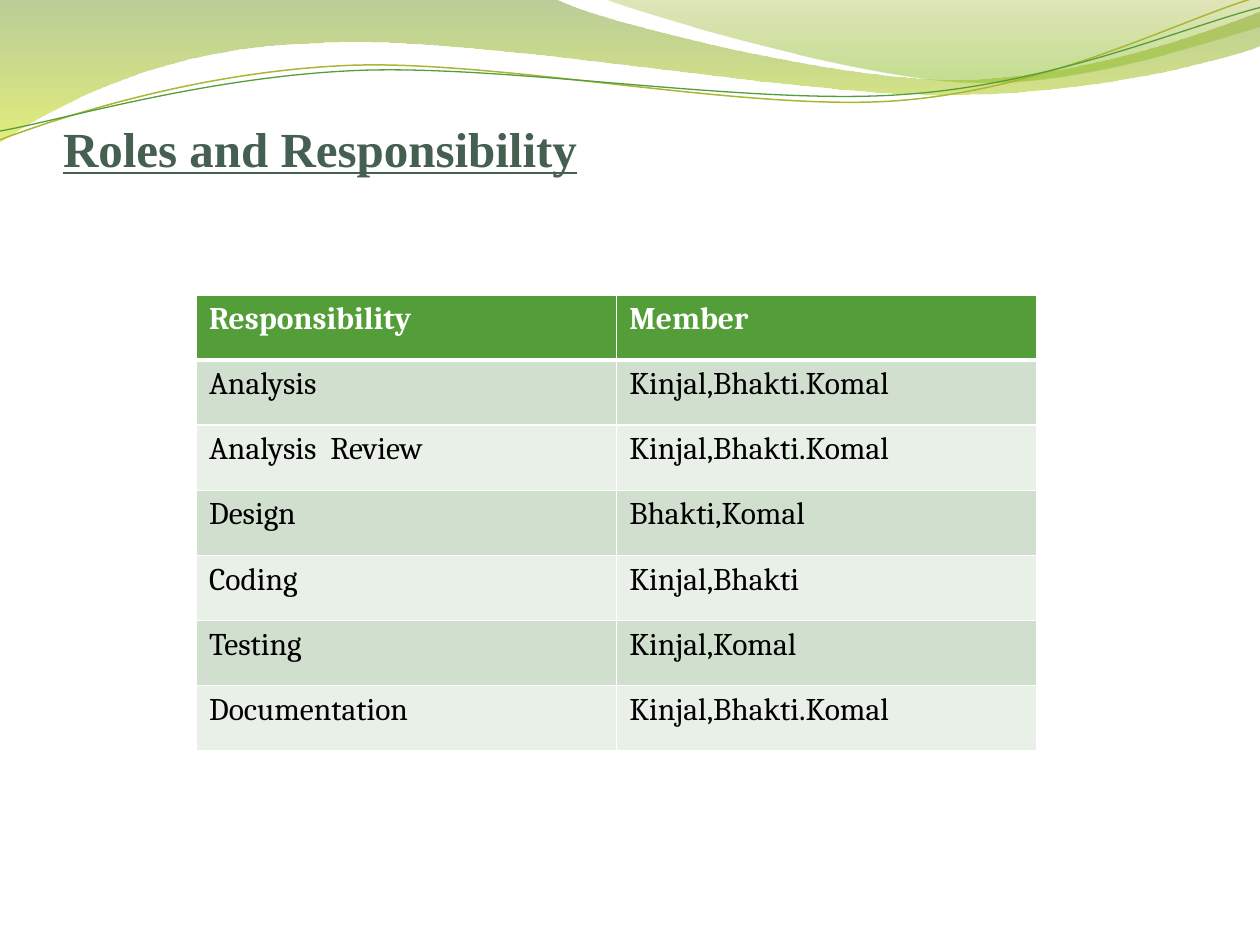
from lxml.etree import SubElement
from pptx import Presentation
from pptx.dml.color import RGBColor
from pptx.enum.text import MSO_ANCHOR as Anchor, PP_ALIGN as Align
from pptx.oxml.ns import qn
from pptx.util import Inches, Pt


def color(code):
    return RGBColor.from_string(code)


def draw(slide, start, parts, close):
    """Draw a path of lines (2 numbers) and Bezier curves (6 numbers)."""
    points = [(Inches(part[i]), Inches(part[i + 1]))
              for part in parts for i in range(0, len(part), 2)]
    pen = slide.shapes.build_freeform(Inches(start[0]), Inches(start[1]))
    pen.add_line_segments(points, close=close)
    shape = pen.convert_to_shape()
    shape.shadow.inherit = False
    # Join each three points of a curve into one Bezier segment
    steps = iter(list(shape.element.iter(qn("a:lnTo"))))
    for part in parts:
        step = next(steps)
        if len(part) == 6:
            curve = SubElement(step.getparent(), qn("a:cubicBezTo"))
            step.addprevious(curve)
            for old in (step, next(steps), next(steps)):
                curve.append(old[0])
                old.getparent().remove(old)
    return shape


deck = Presentation()
deck.slide_width, deck.slide_height = Inches(10), Inches(7.5)
slide = deck.slides.add_slide(deck.slide_layouts[5])

# Green waves: start, parts, gradient stops (place, colour, opacity)
waves = [
    ((0, 0),
     [(4.4, -0.01), (4.75, 0.17, 6.63, 0.63, 7.58, 0.63),
      (8.53, 0.63, 9.58, 0.26, 10, 0.09), (10.01, 0.36),
      (9.83, 0.44, 8.69, 0.76, 7.46, 0.75), (6.22, 0.75, 3.81, 0.28, 2.57, 0.34),
      (1.29, 0.36, 0.46, 0.83, -0.01, 1.13), (0, 0)],
     [(0, "69921C", 45), (1, "CCE10F", 55)]),
    ((4.79, -0.01),
     [(5.09, 0.11, 6.82, 0.62, 7.68, 0.65), (8.55, 0.69, 9.61, 0.32, 10, 0.21),
      (10, 0), (4.79, -0.01)],
     [(0, "9BAA1A", 30), (0.8, "81BA16", 45)]),
]
for start, parts, stops in waves:
    wave = draw(slide, start, parts, True)
    wave.line.fill.background()
    wave.fill.gradient()
    wave.fill.gradient_angle = 270
    for stop, (place, code, alpha) in zip(wave.fill.gradient_stops, stops):
        stop.position = place
        stop.color.rgb = color(code)
    for tint, (place, code, alpha) in zip(wave.element.iter(qn("a:srgbClr")), stops):
        SubElement(tint, qn("a:alpha")).set("val", str(alpha * 1000))

# Thin lines under the waves
lines = [
    ((0, 1.11),
     [(0.48, 0.93, 1.57, 0.57, 2.76, 0.52), (3.95, 0.47, 5.92, 0.89, 7.12, 0.8),
      (8.33, 0.71, 9.38, 0.15, 9.97, -0.02)], "A9B733", 0.85),
    ((0, 1.04),
     [(0.47, 0.96, 1.63, 0.61, 2.83, 0.56), (4.02, 0.51, 5.97, 0.84, 7.17, 0.75),
      (8.36, 0.67, 9.41, 0.21, 10, 0.06)], "549E39", 0.75),
]
for start, parts, code, width in lines:
    line = draw(slide, start, parts, False)
    line.fill.background()
    line.line.color.rgb = color(code)
    line.line.width = Pt(width)

# Title, in front of the waves
title = slide.shapes.title
title.element.getparent().append(title.element)
title.left, title.top = Inches(0.5), Inches(0.16)
title.width, title.height = Inches(9.08), Inches(1.25)
frame = title.text_frame
frame.text = "Roles and Responsibility"
frame.word_wrap = True
frame.vertical_anchor = Anchor.BOTTOM
frame.margin_left = frame.margin_right = frame.margin_bottom = 0
frame.margin_top = Inches(0.05)
frame.paragraphs[0].alignment = Align.LEFT
font = frame.paragraphs[0].runs[0].font
font.name, font.size = "Times New Roman", Pt(28)
font.bold = font.underline = True
font.color.rgb = color("455F51")

# Table of roles
team = "Kinjal,Bhakti.Komal"
rows = [
    ("Responsibility", "Member"),
    ("Analysis", team),
    ("Analysis  Review", team),
    ("Design", "Bhakti,Komal"),
    ("Coding", "Kinjal,Bhakti"),
    ("Testing", "Kinjal,Komal"),
    ("Documentation", team),
]
table = slide.shapes.add_table(len(rows), 2, Inches(1.56), Inches(2.34),
                               Inches(6.67), Inches(3.62)).table
for r, row in enumerate(rows):
    head = r == 0
    back = "549E39" if head else "D1DFCE" if r % 2 else "E9F0E8"
    for c, text in enumerate(row):
        cell = table.cell(r, c)
        cell.text = text
        font = cell.text_frame.paragraphs[0].runs[0].font
        font.name, font.size, font.bold = "Cambria", Pt(18), head
        font.color.rgb = color("FFFFFF" if head else "000000")
        # White header borders, thick below; the table style rules the rest
        props = cell._tc.get_or_add_tcPr()
        for side in "LRTB" if head else "":
            edge = SubElement(props, qn("a:ln" + side),
                              w=str(Pt(3 if side == "B" else 1)))
            paint = SubElement(edge, qn("a:solidFill"))
            SubElement(paint, qn("a:srgbClr"), val="FFFFFF")
        cell.fill.solid()
        cell.fill.fore_color.rgb = color(back)

deck.save("out.pptx")
